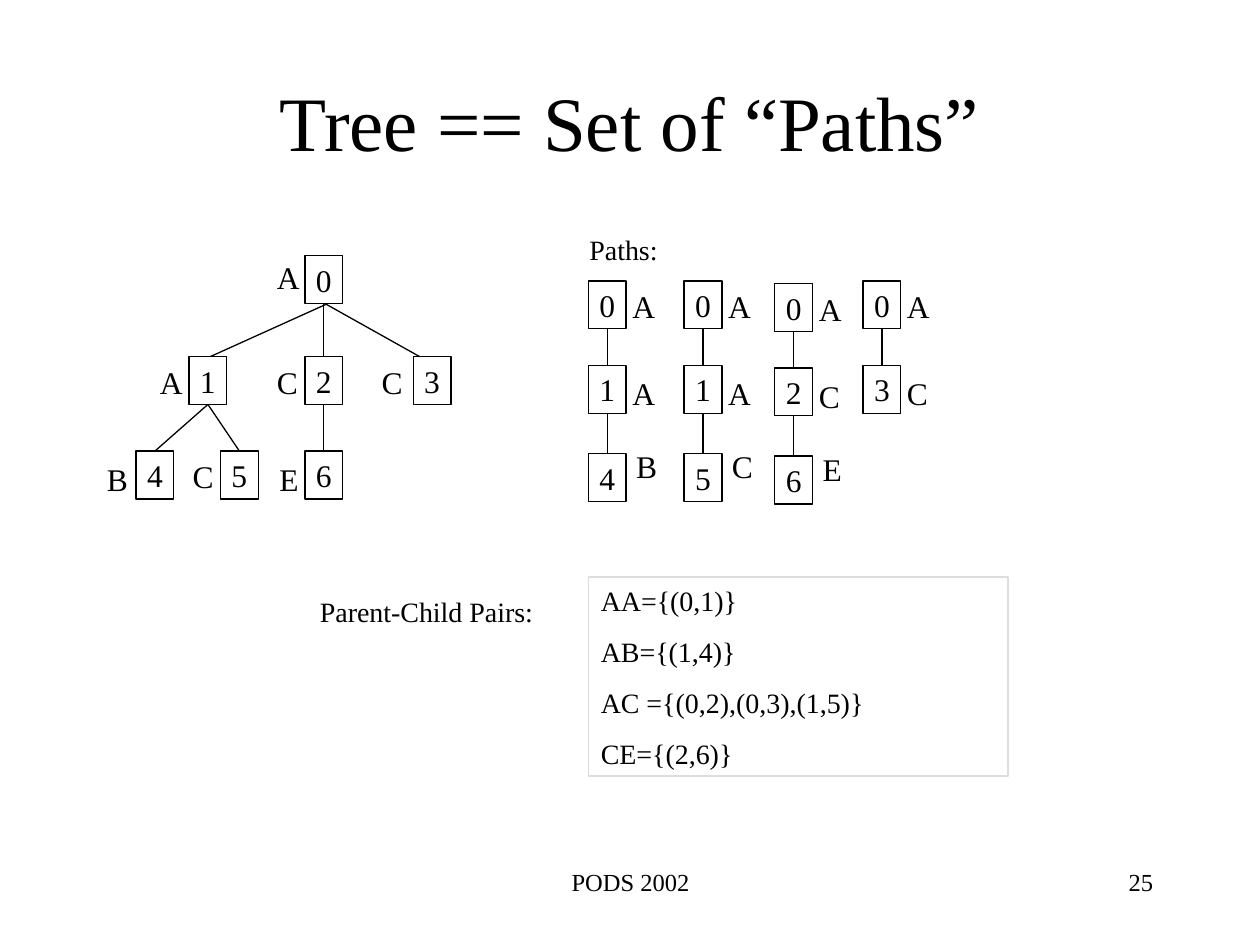
from dataclasses import dataclass

from lxml.etree import SubElement
from pptx import Presentation
from pptx.dml.color import RGBColor
from pptx.enum.shapes import MSO_CONNECTOR, MSO_SHAPE
from pptx.enum.text import MSO_ANCHOR, MSO_AUTO_SIZE, PP_ALIGN
from pptx.oxml.ns import qn
from pptx.slide import Slide
from pptx.text.text import TextFrame
from pptx.util import Inches, Pt


@dataclass(frozen=True)
class Theme:
    font: str = "Times New Roman"
    ink: RGBColor = RGBColor(0, 0, 0)
    paper: RGBColor = RGBColor(255, 255, 255)
    frame: RGBColor = RGBColor(0xDD, 0xDD, 0xDD)
    title: float = 44
    node: float = 18
    body: float = 16
    footer: float = 14
    line: float = 0.75
    gap: float = 10


@dataclass(frozen=True)
class Node:
    key: str
    tag: str
    x: float
    y: float
    tag_x: float
    tag_y: float
    filled: bool = False


@dataclass(frozen=True)
class Edge:
    parent: str
    child: str
    start_dx: float = 0
    end_dx: float = 0


@dataclass(frozen=True)
class Caption:
    text: str
    box: tuple[float, float, float, float]
    size: float
    align: PP_ALIGN = PP_ALIGN.LEFT
    wrap: bool = True


T = Theme()
NODE_W, NODE_H, TAG = 0.3, 0.38, 0.4

TREE = [
    Node("0", "A", 2.42, 2.03, 2.1, 2.0),
    Node("1", "A", 1.5, 2.83, 1.17, 2.83, True),
    Node("2", "C", 2.42, 2.83, 2.1, 2.83),
    Node("3", "C", 3.28, 2.83, 2.93, 2.83),
    Node("4", "B", 1.08, 3.58, 0.75, 3.6),
    Node("5", "C", 1.75, 3.58, 1.43, 3.58),
    Node("6", "E", 2.42, 3.58, 2.12, 3.6),
]
TREE_EDGES = [
    Edge("0", "1", 0.03, 0.02),
    Edge("0", "2"),
    Edge("0", "3", 0.01, -0.1),
    Edge("1", "4"),
    Edge("1", "5"),
    Edge("2", "6"),
]
PATHS = [
    ("014", 4.67, 2.23),
    ("015", 5.43, 2.23),
    ("026", 6.15, 2.25),
    ("03", 6.85, 2.23),
]
LEVELS = [(0, 0.25, 0), (0.67, 0.25, 0.02), (1.37, 0.28, -0.1)]
PAIRS = ["AA={(0,1)}", "AB={(1,4)}", "AC ={(0,2),(0,3),(1,5)}", "CE={(2,6)}"]
CAPTIONS = [
    Caption("Paths:", (4.58, 1.8, 2.67, 0.37), T.body),
    Caption("Parent-Child Pairs:", (2.44, 4.67, 1.89, 0.37), T.body, wrap=False),
    Caption("PODS 2002", (3.42, 6.83, 3.17, 0.5), T.footer, PP_ALIGN.CENTER),
    Caption("25", (7.17, 6.83, 2.08, 0.5), T.footer, PP_ALIGN.RIGHT),
]


def write(tf: TextFrame, lines: list[str], size: float, align: PP_ALIGN = PP_ALIGN.LEFT,
          anchor: MSO_ANCHOR = MSO_ANCHOR.TOP, wrap: bool = True) -> None:
    """Fill a text frame with one formatted paragraph per line."""
    frame_format = {"word_wrap": wrap, "vertical_anchor": anchor, "auto_size": MSO_AUTO_SIZE.NONE}
    for name, value in frame_format.items():
        setattr(tf, name, value)
    for i, line in enumerate(lines):
        p = tf.paragraphs[0] if i == 0 else tf.add_paragraph()
        p.alignment = align
        p.space_before = Pt(T.gap if i else 0)
        r = p.add_run()
        r.text = line
        for name, value in {"name": T.font, "size": Pt(size)}.items():
            setattr(r.font, name, value)
        r.font.color.rgb = T.ink


def add_caption(s: Slide, c: Caption) -> None:
    """Add a plain line of text."""
    sp = s.shapes.add_textbox(*map(Inches, c.box))
    write(sp.text_frame, [c.text], c.size, c.align, wrap=c.wrap)


def add_box(s: Slide, box: tuple[float, float, float, float], color: RGBColor,
            filled: bool = False) -> TextFrame:
    """Add an outlined rectangle and return its text frame."""
    sp = s.shapes.add_shape(MSO_SHAPE.RECTANGLE, *map(Inches, box))
    sp.shadow.inherit = False
    if filled:
        sp.fill.solid()
        sp.fill.fore_color.rgb = T.paper
    else:
        sp.fill.background()
    sp.line.color.rgb = color
    sp.line.width = Pt(T.line)
    return sp.text_frame


def add_node(s: Slide, n: Node) -> None:
    """Add a numbered box with its letter beside it."""
    tf = add_box(s, (n.x, n.y, NODE_W, NODE_H), T.ink, n.filled)
    write(tf, [n.key], T.node, PP_ALIGN.CENTER, MSO_ANCHOR.MIDDLE, False)
    add_caption(s, Caption(n.tag, (n.tag_x, n.tag_y, TAG, TAG), T.node))


def add_edge(s: Slide, parent: Node, child: Node, start_dx: float = 0, end_dx: float = 0) -> None:
    """Join the bottom of a parent to the top of its child."""
    mid = NODE_W / 2
    ends = (parent.x + mid + start_dx, parent.y + NODE_H, child.x + mid + end_dx, child.y)
    cn = s.shapes.add_connector(MSO_CONNECTOR.STRAIGHT, *map(Inches, ends))
    cn.line.color.rgb = T.ink
    cn.line.width = Pt(T.line)
    SubElement(cn._element.spPr, qn("a:effectLst"))


def add_tree(s: Slide) -> None:
    """Draw the tree on the left."""
    nodes = {n.key: n for n in TREE}
    for n in TREE:
        add_node(s, n)
    for e in TREE_EDGES:
        add_edge(s, nodes[e.parent], nodes[e.child], e.start_dx, e.end_dx)


def add_path_column(s: Slide, keys: str, x: float, y: float) -> None:
    """Draw one root-to-leaf path as a column."""
    tags = {n.key: n.tag for n in TREE}
    column = [Node(key, tags[key], x, y + dy, x + tag_dx, y + dy + tag_dy)
              for key, (dy, tag_dx, tag_dy) in zip(keys, LEVELS)]
    for n in column:
        add_node(s, n)
    for parent, child in zip(column, column[1:]):
        add_edge(s, parent, child)


def main() -> None:
    """Build and save the slide."""
    prs = Presentation()
    prs.slide_width, prs.slide_height = Inches(10), Inches(7.5)
    s = prs.slides.add_slide(prs.slide_layouts[5])
    title = s.shapes.title
    place = {"left": 0.75, "top": 0.33, "width": 8.5, "height": 1.25}
    for name, value in place.items():
        setattr(title, name, Inches(value))
    write(title.text_frame, ["Tree == Set of “Paths”"], T.title, PP_ALIGN.CENTER, MSO_ANCHOR.MIDDLE)
    add_tree(s)
    for keys, x, y in PATHS:
        add_path_column(s, keys, x, y)
    write(add_box(s, (4.67, 4.58, 3.33, 1.58), T.frame), PAIRS, T.body)
    for c in CAPTIONS:
        add_caption(s, c)
    prs.save("out.pptx")


if __name__ == "__main__":
    main()
